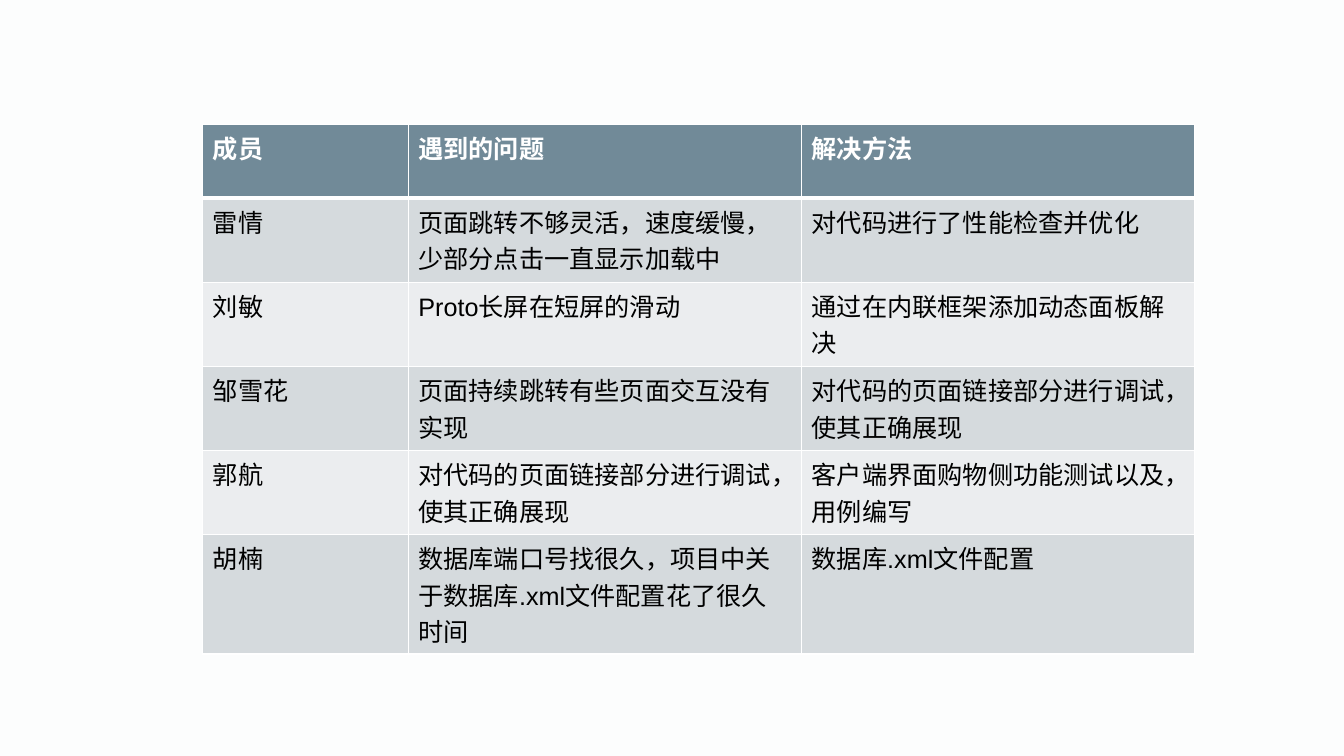
from lxml.etree import SubElement
from pptx import Presentation
from pptx.dml.color import RGBColor
from pptx.enum.lang import MSO_LANGUAGE_ID
from pptx.oxml.ns import qn
from pptx.util import Cm, Pt

COLORS = {
    "back": "FCFDFD",
    "head": "718A98",
    "dark": "D5DADD",
    "light": "EBEDEF",
    "white": "FFFFFF",
    "text": "000000",
}
WIDTHS = [5.18, 9.91, 9.91]
HEIGHTS = [1.85, 2.12, 2.12, 2.12, 2.12, 3]
ROWS = [
    ("成员", "遇到的问题", "解决方法"),
    ("雷情", "页面跳转不够灵活，速度缓慢，少部分点击一直显示加载中",
     "对代码进行了性能检查并优化"),
    ("刘敏", "Proto长屏在短屏的滑动", "通过在内联框架添加动态面板解决"),
    ("邹雪花", "页面持续跳转有些页面交互没有实现",
     "对代码的页面链接部分进行调试，使其正确展现"),
    ("郭航", "对代码的页面链接部分进行调试，使其正确展现",
     "客户端界面购物侧功能测试以及，用例编写"),
    ("胡楠", "数据库端口号找很久，项目中关于数据库.xml文件配置花了很久时间",
     "数据库.xml文件配置"),
]


def paint(fill, name):
    """Give a fill one solid colour."""
    fill.solid()
    fill.fore_color.rgb = RGBColor.from_string(COLORS[name])


def add_edges(cell, top, bottom):
    """Draw white borders, with top and bottom widths in points."""
    props = cell._tc.get_or_add_tcPr()
    for index, (side, width) in enumerate(
            [("lnL", 1), ("lnR", 1), ("lnT", top), ("lnB", bottom)]):
        line = props.makeelement(qn(f"a:{side}"), {"w": str(Pt(width))})
        props.insert(index, line)
        solid = SubElement(line, qn("a:solidFill"))
        SubElement(solid, qn("a:srgbClr"), val=COLORS["white"])


def fill_cell(cell, text, row):
    """Write and style a cell according to its row."""
    head = row == 0
    cell.text_frame.text = text
    font = cell.text_frame.paragraphs[0].runs[0].font
    font.name = "Arial"
    font.size = Pt(18)
    font.bold = head
    font.language_id = MSO_LANGUAGE_ID.SIMPLIFIED_CHINESE
    paint(font.fill, "white" if head else "text")
    paint(cell.fill, "head" if head else "dark" if row % 2 else "light")
    add_edges(cell, 3 if row == 1 else 1, 3 if head else 1)


def add_grid(slide):
    """Add the table of members, problems and solutions."""
    frame = slide.shapes.add_table(
        len(ROWS), len(WIDTHS), Cm(5.11), Cm(3.14),
        Cm(sum(WIDTHS)), Cm(sum(HEIGHTS)))
    table = frame.table
    for column, width in zip(table.columns, WIDTHS):
        column.width = Cm(width)
    for row, (height, texts) in enumerate(zip(HEIGHTS, ROWS)):
        table.rows[row].height = Cm(height)
        for cell, text in zip(table.rows[row].cells, texts):
            fill_cell(cell, text, row)


def main():
    """Build and save the slide."""
    deck = Presentation()
    deck.slide_width, deck.slide_height = Cm(33.87), Cm(19.05)
    slide = deck.slides.add_slide(deck.slide_layouts[6])
    paint(slide.background.fill, "back")
    add_grid(slide)
    deck.save("out.pptx")


if __name__ == "__main__":
    main()
